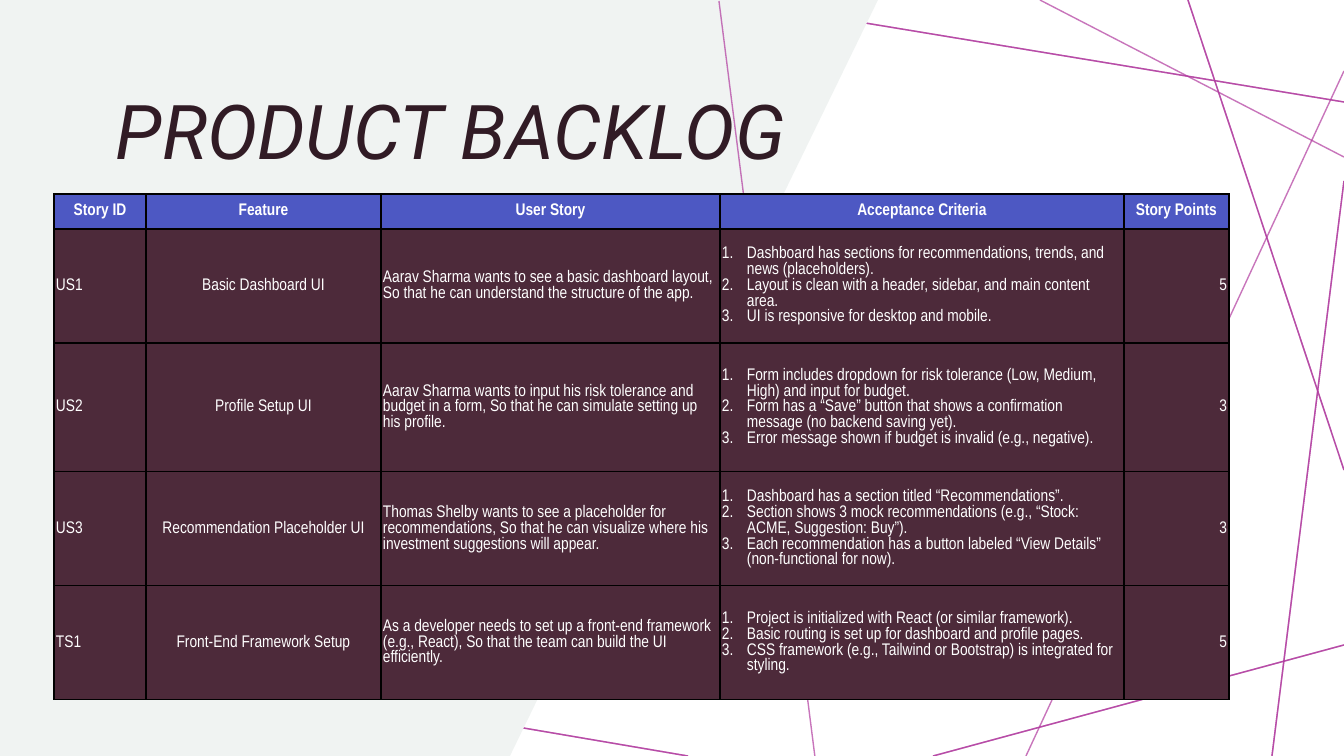
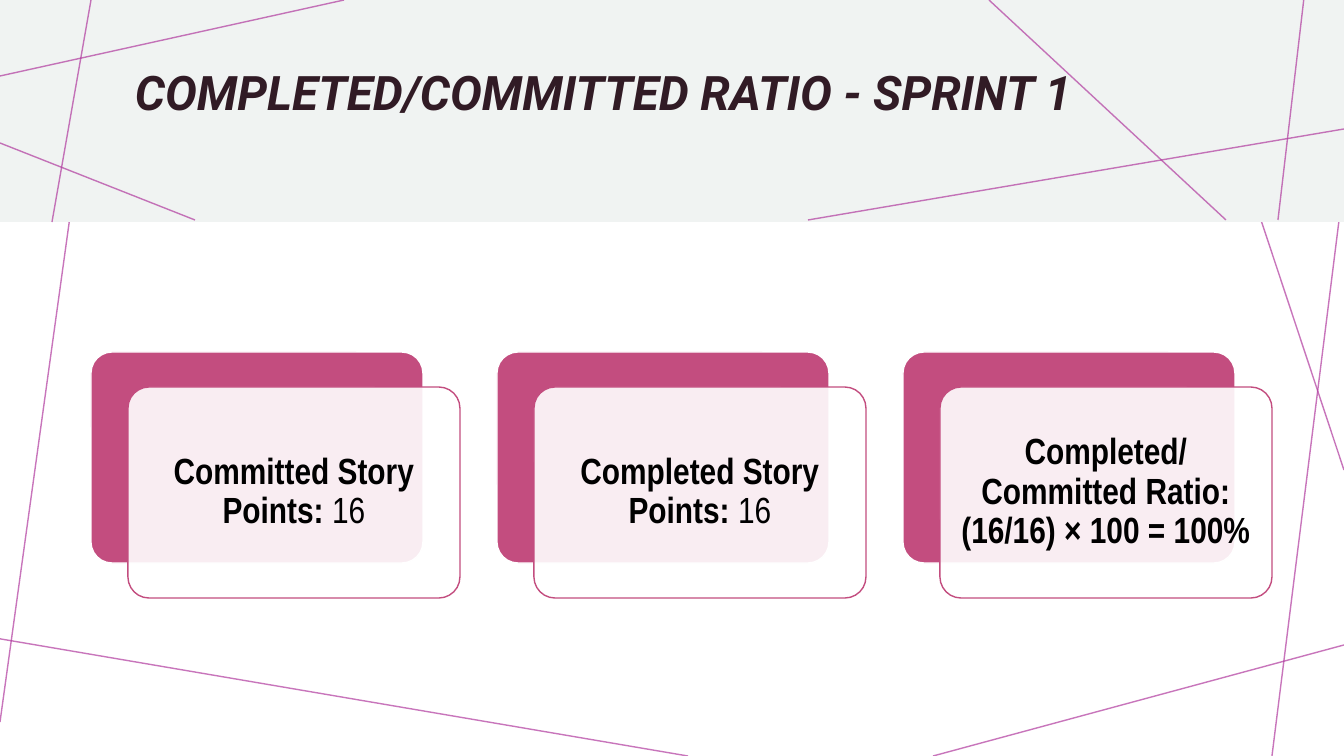
from lxml.etree import SubElement
from pptx import Presentation
from pptx.dml.color import RGBColor
from pptx.enum.shapes import MSO_CONNECTOR as Connector, MSO_SHAPE as Shape
from pptx.enum.text import MSO_ANCHOR as Anchor, PP_ALIGN as Align
from pptx.oxml.ns import qn
from pptx.util import Emu, Pt

COLORS = {
    "web": "B13B9F", "panel": "F0F3F2", "title": "311B25", "header": "4D58C3",
    "body": "4D2A3A", "card": "C34D7F", "white": "FFFFFF", "black": "000000",
}
TITLE_FONT, BODY_FONT = "Roboto", "Arial Narrow"
SLIDE_W, SLIDE_H = 1344, 756
EMU_PER_PX = 914400 / 100.8

SHARED_WEB = [
    (688, 756, -5, 638), (1344, 645, 933, 756),
    (1344, 181, 1272, 756), (1344, 470, 1188, 0),
]
BACKLOG_WEB = SHARED_WEB + [(1344, 102, 720, -1)]
BACKLOG_FRONT_WEB = [(815, 757, 719, 1), (1026, 756, 1344, 71), (1040, 0, 1344, 157)]
BACKLOG_PANEL = [(0, 0), (878, 0), (510, 756), (0, 756)]
RATIO_WEB = SHARED_WEB + [(100, 0, 0, 722)]
RATIO_BAND_WEB = [
    (344, 0, 0, 76), (91, 0, 52, 222), (195, 220, 0, 143),
    (1344, 129, 808, 220), (1226, 220, 989, 0), (1304, -2, 1278, 220),
]
RATIO_BAND = (0, 0, SLIDE_W, 222)

TABLE_LEFT, TABLE_TOP = 54, 194
COLUMNS = [
    ("Story ID", 92, Align.LEFT), ("Feature", 235, Align.CENTER),
    ("User Story", 339, Align.LEFT), ("Acceptance Criteria", 404, Align.LEFT),
    ("Story Points", 105, Align.RIGHT),
]
ROW_HEIGHTS = [35, 114, 129, 114, 114]
STORIES = [
    ("US1", "Basic Dashboard UI",
     "Aarav Sharma wants to see a basic dashboard layout, So that he can understand "
     "the structure of the app.",
     ["Dashboard has sections for recommendations, trends, and news (placeholders).",
      "Layout is clean with a header, sidebar, and main content area.",
      "UI is responsive for desktop and mobile."], "5"),
    ("US2", "Profile Setup UI",
     "Aarav Sharma wants to input his risk tolerance and budget in a form, So that he "
     "can simulate setting up his profile.",
     ["Form includes dropdown for risk tolerance (Low, Medium, High) and input for budget.",
      "Form has a “Save” button that shows a confirmation message (no backend saving yet).",
      "Error message shown if budget is invalid (e.g., negative)."], "3"),
    ("US3", "Recommendation Placeholder UI",
     "Thomas Shelby wants to see a placeholder for recommendations, So that he can "
     "visualize where his investment suggestions will appear.",
     ["Dashboard has a section titled “Recommendations”.",
      "Section shows 3 mock recommendations (e.g., “Stock: ACME, Suggestion: Buy”).",
      "Each recommendation has a button labeled “View Details” (non-functional for now)."],
     "3"),
    ("TS1", "Front-End Framework Setup",
     "As a developer needs to set up a front-end framework (e.g., React), So that the "
     "team can build the UI efficiently.",
     ["Project is initialized with React (or similar framework).",
      "Basic routing is set up for dashboard and profile pages.",
      "CSS framework (e.g., Tailwind or Bootstrap) is integrated for styling."], "5"),
]

CARDS = [
    ("Committed Story Points:", " 16"),
    ("Completed Story Points:", " 16"),
    ("Completed/Committed Ratio: (16/16) × 100 = 100%", ""),
]
CARD_LEFT, CARD_TOP, CARD_W, CARD_H, CARD_STEP = 91, 352, 332, 211, 406
FRONT_DX, FRONT_DY = 37, 35


def px(length):
    return Emu(round(length * EMU_PER_PX))


def rgb(name):
    return RGBColor.from_string(COLORS[name])


def set_alpha(fill, percent):
    color = fill._xPr.find(qn("a:solidFill"))[0]
    SubElement(color, qn("a:alpha"), val=str(percent * 1000))


def style_font(font, face, size, color, bold=False, italic=False):
    font.name, font.size = face, Pt(size)
    font.bold, font.italic = bold, italic
    font.color.rgb = rgb(color)


def set_insets(frame, left, top, right, bottom):
    frame.margin_left, frame.margin_top = px(left), px(top)
    frame.margin_right, frame.margin_bottom = px(right), px(bottom)


def paint(shape, fill, outline=None):
    shape.shadow.inherit = False
    shape.fill.solid()
    shape.fill.fore_color.rgb = rgb(fill)
    if outline:
        shape.line.color.rgb = rgb(outline)
        shape.line.width = Pt(1)
    else:
        shape.line.fill.background()


def add_web(slide, strands):
    for ends in strands:
        strand = slide.shapes.add_connector(Connector.STRAIGHT, *map(px, ends))
        strand.line.color.rgb = rgb("web")
        strand.line.width = Pt(1)
        set_alpha(strand.line.fill, 70)
        SubElement(strand._element.spPr, qn("a:effectLst"))


def add_title(slide, text, box, size, anchor, bold=False, bottom_inset=5):
    frame = slide.shapes.add_textbox(*map(px, box)).text_frame
    frame.word_wrap = True
    frame.vertical_anchor = anchor
    set_insets(frame, 10, 5, 10, bottom_inset)
    frame.text = text
    heading = frame.paragraphs[0]
    heading.line_spacing = 0.9
    style_font(heading.runs[0].font, TITLE_FONT, size, "title", bold, italic=True)


def add_cell_borders(cell):
    properties = cell._tc.get_or_add_tcPr()
    for side in ("a:lnL", "a:lnR", "a:lnT", "a:lnB"):
        border = SubElement(properties, qn(side), w=str(Pt(1)))
        color = SubElement(border, qn("a:solidFill"))
        SubElement(color, qn("a:srgbClr"), val=COLORS["black"])


def fill_cell(cell, content, align, is_header):
    numbered = isinstance(content, list)
    add_cell_borders(cell)
    cell.fill.solid()
    cell.fill.fore_color.rgb = rgb("header" if is_header else "body")
    set_insets(cell, 2, 1, 2, 1)
    cell.vertical_anchor = Anchor.MIDDLE
    cell.text_frame.text = "\n".join(content) if numbered else content
    for paragraph in cell.text_frame.paragraphs:
        if numbered:
            properties = paragraph._p.get_or_add_pPr()
            properties.set("marL", str(px(25)))
            properties.set("indent", str(px(-25)))
            SubElement(properties, qn("a:buAutoNum"), type="arabicPeriod")
        paragraph.alignment = align
        paragraph.line_spacing = Pt(11.25)
        for run in paragraph.runs:
            style_font(run.font, BODY_FONT, 12, "white", bold=is_header)


def add_backlog_table(slide):
    titles, widths, aligns = zip(*COLUMNS)
    rows = [titles] + STORIES
    table = slide.shapes.add_table(
        len(rows), len(COLUMNS), px(TABLE_LEFT), px(TABLE_TOP),
        px(sum(widths)), px(sum(ROW_HEIGHTS))).table
    table.horz_banding = False
    for column, width in zip(table.columns, widths):
        column.width = px(width)
    for r, (contents, height) in enumerate(zip(rows, ROW_HEIGHTS)):
        table.rows[r].height = px(height)
        for c, content in enumerate(contents):
            align = aligns[c] if r else Align.CENTER
            fill_cell(table.cell(r, c), content, align, r == 0)


def add_rounded(slide, left, top, fill, outline):
    card = slide.shapes.add_shape(
        Shape.ROUNDED_RECTANGLE, px(left), px(top), px(CARD_W), px(CARD_H))
    card.adjustments[0] = 0.1
    paint(card, fill, outline)
    return card


def add_card(slide, left, label, value):
    add_rounded(slide, left, CARD_TOP, "card", "white")
    front = add_rounded(slide, left + FRONT_DX, CARD_TOP + FRONT_DY, "white", "card")
    set_alpha(front.fill, 90)
    frame = front.text_frame
    frame.word_wrap = True
    frame.vertical_anchor = Anchor.MIDDLE
    set_insets(frame, 11, 11, 11, 11)
    paragraph = frame.paragraphs[0]
    paragraph.alignment = Align.CENTER
    paragraph.line_spacing = 0.9
    for text, bold in ((label, True), (value, False)):
        if text:
            run = paragraph.add_run()
            run.text = text
            style_font(run.font, BODY_FONT, 26, "black", bold)


def build_backlog(slide):
    add_web(slide, BACKLOG_WEB * 2)
    outline = slide.shapes.build_freeform(*BACKLOG_PANEL[0], scale=EMU_PER_PX)
    outline.add_line_segments(BACKLOG_PANEL[1:], close=True)
    paint(outline.convert_to_shape(), "panel")
    add_title(slide, "PRODUCT BACKLOG", (106, 59, 1054, 122), 54, Anchor.BOTTOM)
    add_web(slide, BACKLOG_FRONT_WEB)
    add_backlog_table(slide)


def build_ratio(slide):
    add_web(slide, RATIO_WEB)
    paint(slide.shapes.add_shape(Shape.RECTANGLE, *map(px, RATIO_BAND)), "panel")
    add_web(slide, RATIO_BAND_WEB)
    add_title(slide, "COMPLETED/COMMITTED RATIO - SPRINT 1", (125, 54, 1110, 135),
              34, Anchor.MIDDLE, bold=True, bottom_inset=57)
    for i, (label, value) in enumerate(CARDS):
        add_card(slide, CARD_LEFT + i * CARD_STEP, label, value)


def main():
    """Build the backlog and sprint ratio slides."""
    deck = Presentation()
    deck.slide_width, deck.slide_height = px(SLIDE_W), px(SLIDE_H)
    for build in (build_backlog, build_ratio):
        build(deck.slides.add_slide(deck.slide_layouts[6]))
    deck.save("out.pptx")


if __name__ == "__main__":
    main()
